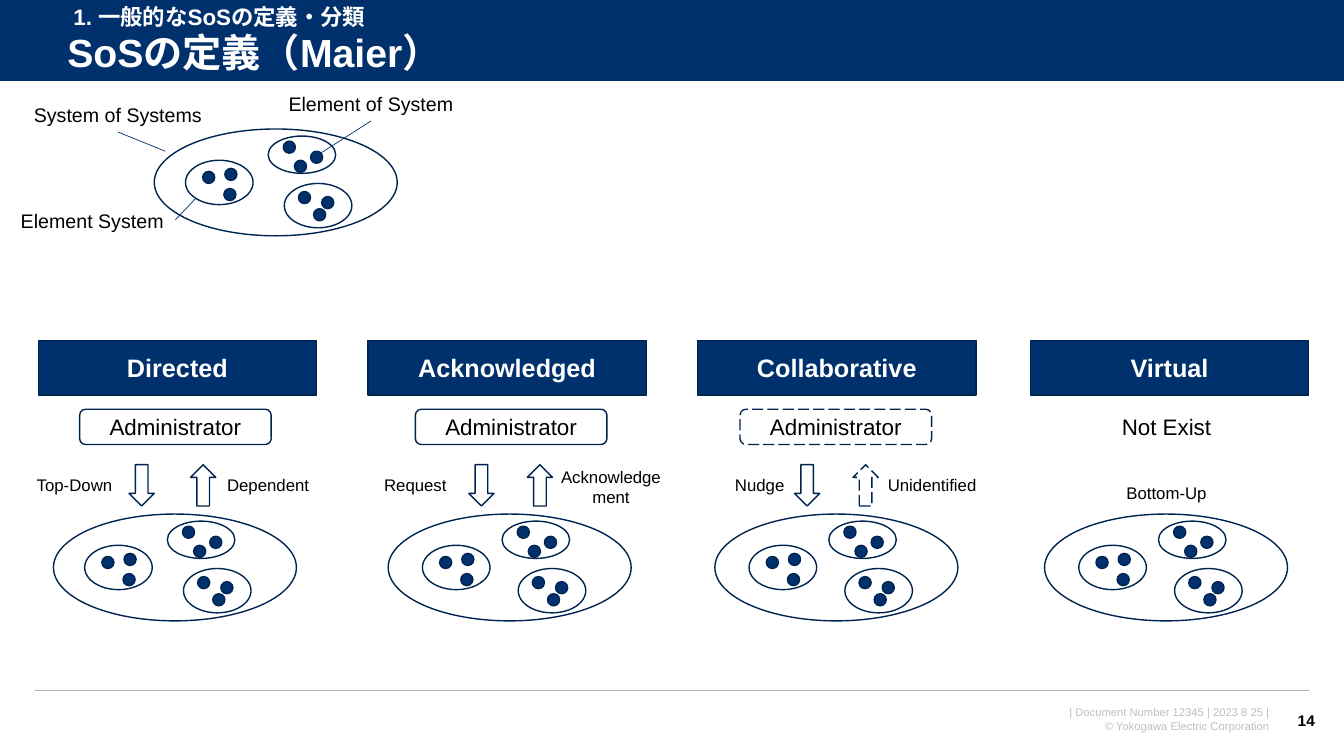
from lxml import etree
from pptx import Presentation
from pptx import util as u
from pptx.dml import color
from pptx.enum import dml, shapes, text
from pptx.oxml import ns

COLORS = {"navy": "00316C", "outline": "002450", "white": "FFFFFF",
          "black": "000000", "rule": "B2B2B2", "footer": "BFBFBF"}
SHAPE, ALIGN = shapes.MSO_SHAPE, text.PP_ALIGN
DOT = 0.12
SUBSYSTEMS = [
    ((0.34, 0.31, 0.67, 0.44), [(0.39, 0.08), (0.17, 0.11), (0.38, 0.28)]),
    ((1.13, 0.07, 0.67, 0.37), [(0.15, 0.05), (0.42, 0.15), (0.26, 0.24)]),
    ((1.29, 0.54, 0.67, 0.44), [(0.37, 0.13), (0.29, 0.25), (0.14, 0.08)]),
]
CATEGORIES = [
    ("Directed", 0.38, 0.53, -0.03),
    ("Acknowledged", 3.65, 3.85, 0),
    ("Collaborative", 6.92, 7.09, 0),
    ("Virtual", 10.22, 10.36, 0),
]
CONTROLS = [
    (0.79, 1.2, 1.81, False, ("Top-Down", 0.21, 4.66, 1.06),
     ("Dependent", 2.13, 4.66, 1.06)),
    (4.12, 4.57, 5.15, False, ("Request", 3.59, 4.66, 1.06),
     ("Acknowledgement", 5.45, 4.58, 1.22)),
    (7.34, 7.8, 8.38, True, ("Nudge", 7.18, 4.66, 0.71),
     ("Unidentified", 8.67, 4.66, 1.15)),
]
CALLOUTS = [
    ("System of Systems", (0.22, 0.97, 1.9), (1.64, 1.5, 1.17, 1.31)),
    ("Element System", (0.09, 2.02, 1.65), (1.74, 2.18, 1.94, 1.97)),
    ("Element of System", (2.73, 0.86, 1.9), (3.18, 1.52, 3.68, 1.2)),
]


class SlideBuilder:
    """Draws styled elements on one slide."""

    def __init__(self, slide, font="Arial"):
        self.slide = slide
        self.font = font

    def rgb(self, name):
        return color.RGBColor.from_string(COLORS[name])

    def set_text(self, frame, words, size, ink, bold, align, middle):
        frame.text = words
        frame.word_wrap = True
        frame.vertical_anchor = (text.MSO_ANCHOR.MIDDLE if middle
                                 else text.MSO_ANCHOR.TOP)
        for paragraph in frame.paragraphs:
            paragraph.alignment = align
            for run in paragraph.runs:
                run.font.name = self.font
                run.font.size = u.Pt(size)
                run.font.bold = bold
                run.font.color.rgb = self.rgb(ink)

    def label(self, words, left, top, width, height=0.3, size=12, ink="black",
              bold=False, align=ALIGN.CENTER, middle=False):
        box = self.slide.shapes.add_textbox(*map(u.Inches, (left, top, width, height)))
        self.set_text(box.text_frame, words, size, ink, bold, align, middle)
        return box.text_frame

    def shape(self, kind, left, top, width, height, fill=None, line="outline",
              dashed=False, rotation=0):
        drawn = self.slide.shapes.add_shape(
            kind, *map(u.Inches, (left, top, width, height)))
        drawn.shadow.inherit = False
        drawn.rotation = rotation
        if fill:
            drawn.fill.solid()
            drawn.fill.fore_color.rgb = self.rgb(fill)
        else:
            drawn.fill.background()
        if line:
            drawn.line.color.rgb = self.rgb(line)
            drawn.line.width = u.Pt(1)
        else:
            drawn.line.fill.background()
        if dashed:
            drawn.line.dash_style = dml.MSO_LINE.LONG_DASH
        return drawn

    def box(self, kind, words, left, top, width, height, fill, ink, size,
            bold=False, dashed=False):
        drawn = self.shape(kind, left, top, width, height, fill, dashed=dashed)
        self.set_text(drawn.text_frame, words, size, ink, bold, ALIGN.CENTER, True)

    def line(self, x1, y1, x2, y2, ink="navy", weight=0.5):
        drawn = self.slide.shapes.add_connector(
            shapes.MSO_CONNECTOR.STRAIGHT, *map(u.Inches, (x1, y1, x2, y2)))
        drawn.line.color.rgb = self.rgb(ink)
        drawn.line.width = u.Pt(weight)
        etree.SubElement(drawn.element.spPr, ns.qn("a:effectLst"))

    def arrow(self, left, rotation, dashed=False):
        self.shape(SHAPE.RIGHT_ARROW, left, 4.69, 0.41, 0.25, "white",
                   dashed=dashed, rotation=rotation)

    def system(self, left, top, shift):
        self.shape(SHAPE.OVAL, left, top, 2.41, 1.06, "white")
        for index, ((dx, dy, width, height), dots) in enumerate(SUBSYSTEMS):
            x = left + dx + (shift if index == 0 else 0)
            y = top + dy
            self.shape(SHAPE.OVAL, x, y, width, height)
            for dot_x, dot_y in dots:
                self.shape(SHAPE.OVAL, x + dot_x, y + dot_y, DOT, DOT, "navy")


def main():
    deck = Presentation()
    deck.slide_width, deck.slide_height = u.Inches(13.33), u.Inches(7.5)
    page = SlideBuilder(deck.slides.add_slide(deck.slide_layouts[6]))

    page.label("| Document Number 12345 | 2023 8 25 |\n© Yokogawa Electric Corporation",
               9.48, 6.95, 3.21, 0.37, 8, "footer", align=ALIGN.RIGHT)
    page.shape(SHAPE.RECTANGLE, 0, 0, 13.33, 0.81, "navy", None)
    page.line(0, 0.81, 13.33, 0.81, "white", 0.75)
    page.line(0.35, 6.85, 12.98, 6.85, "rule", 1)
    number = page.label("14", 12.7, 6.95, 0.44, 0.4, 11, bold=True,
                        align=ALIGN.RIGHT, middle=True)
    number.word_wrap = False
    title = page.label("SoSの定義（Maier）", 0.57, 0.26, 12.47, 0.57, 28, "white",
                       True, ALIGN.LEFT, True)
    title.paragraphs[0].line_spacing = 0.9
    page.label("1. 一般的なSoSの定義・分類", 0.63, -0.02, 4.03, 0.37, 16, "white",
               True, ALIGN.LEFT)

    page.system(1.53, 1.28, -0.03)
    for words, place, leader in CALLOUTS:
        page.label(words, *place, height=0.34, size=14)
        page.line(*leader)

    for name, header_left, system_left, shift in CATEGORIES:
        page.box(SHAPE.RECTANGLE, name, header_left, 3.38, 2.76, 0.54,
                 "navy", "white", 18, bold=True)
        page.system(system_left, 5.1, shift)

    for admin_left, down_left, up_left, dashed, order, reply in CONTROLS:
        page.box(SHAPE.ROUNDED_RECTANGLE, "Administrator", admin_left, 4.06,
                 1.9, 0.35, "white", "black", 16, dashed=dashed)
        page.arrow(down_left, 90)
        page.arrow(up_left, 270, dashed)
        page.label(*order)
        page.label(*reply)
    page.label("Not Exist", 10.85, 4.05, 1.44, 0.37, 16)
    page.label("Bottom-Up", 11.04, 4.74, 1.06)

    deck.save("out.pptx")


if __name__ == "__main__":
    main()
